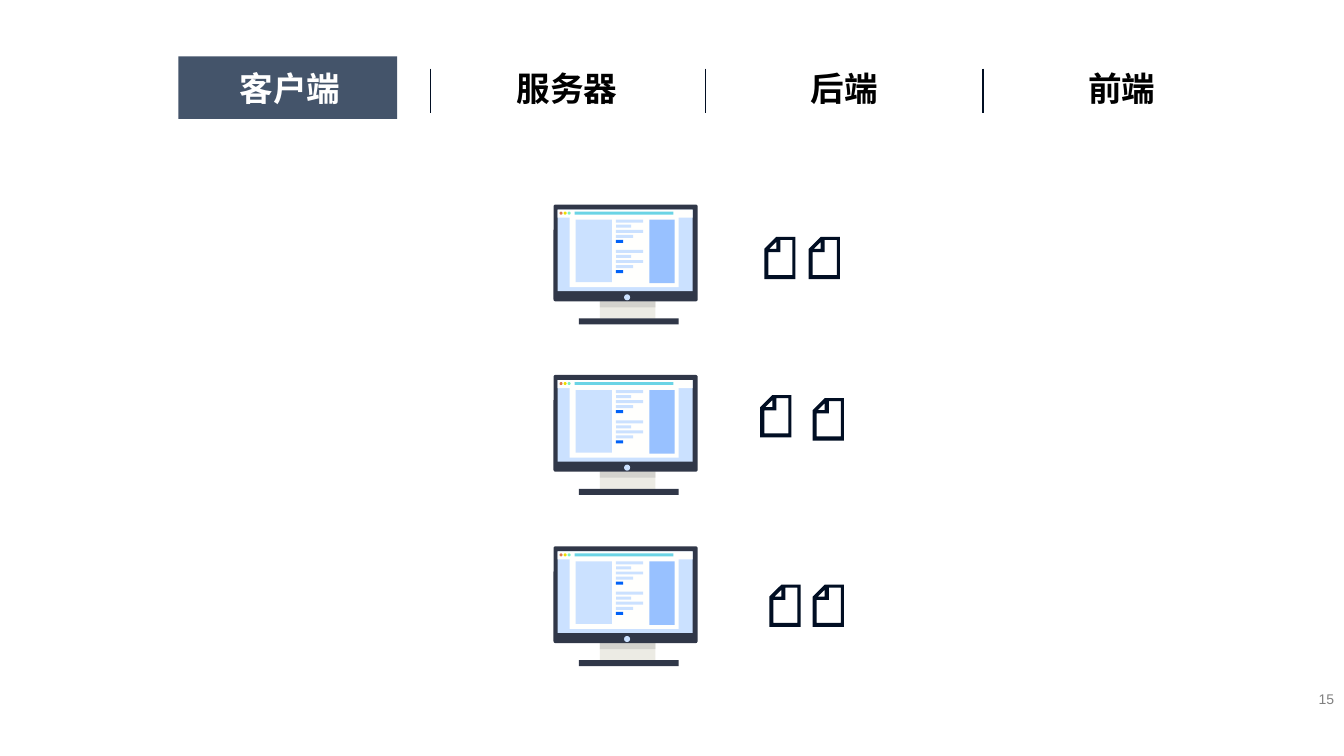
import pptx
import pptx.util
import pptx.dml.color
import pptx.enum.shapes
import pptx.enum.text
import lxml.etree

PX = 9144  # one px is a hundredth of an inch
FONT = "Arial"
INK = "010E23"
CASE = "303748"
PALE = "CBE1FF"
WHITE = "FFFFFD"
RECT = pptx.enum.shapes.MSO_SHAPE.RECTANGLE
ROUNDED = pptx.enum.shapes.MSO_SHAPE.ROUNDED_RECTANGLE
OVAL = pptx.enum.shapes.MSO_SHAPE.OVAL
ALIGN = pptx.enum.text.PP_ALIGN
ANCHOR = pptx.enum.text.MSO_ANCHOR

TABS = ["客户端", "服务器", "后端", "前端"]
TAB_LEFT, TAB_WIDTH = 150, 275
DIVIDERS = [427, 700, 975]
MONITOR_LEFT = 549
MONITOR_TOPS = [203, 372, 542]
DOCUMENTS = [(758, 235), (802, 235), (754, 392), (806, 395), (763, 580), (806, 580)]

# Monitor parts, measured from the top left corner of the case
STAND = [(46, 84, 55, 29, "ECEBE4"), (46, 96, 55, 6, "D3D2CD"), (25, 113, 99, 6, CASE)]
SCREEN = [(4, 5, 134, 81, PALE), (4, 5, 134, 8, WHITE), (16, 12, 108, 70, WHITE),
          (22, 15, 36, 62, PALE), (95, 15, 25, 63, "98C1FF"), (21, 7, 98, 3, "6BD4E5")]
LINE_WIDTHS = [27, 15, 27, 17, 7]
DOTS = [(70, 89, 6, PALE), (6, 7, 3, "DF7A4C"), (10, 7, 3, "EDDE00"), (14, 7, 3, "7BF1BF")]

# Page outline, the triangle of its folded corner, and its inside
PAGE_CONTOURS = [
    [(0, 12), (12, 0), (31, 0), (31, 42), (0, 42)],
    [(5, 12), (12, 12), (12, 5)],
    [(4, 15), (4, 38), (28, 38), (28, 3), (16, 3), (16, 15)],
]


def px(value):
    return pptx.util.Emu(value * PX)


def color(value):
    return pptx.dml.color.RGBColor.from_string(value)


def paint(shape, fill):
    shape.fill.solid()
    shape.fill.fore_color.rgb = color(fill)
    shape.line.fill.background()
    shape.shadow.inherit = False


def add_block(shapes, kind, left, top, width, height, fill):
    shape = shapes.add_shape(kind, px(left), px(top), px(width), px(height))
    paint(shape, fill)
    return shape


def add_text(page, text, left, top, width, height, size, fill, align, anchor, bold=False):
    box = page.shapes.add_textbox(px(left), px(top), px(width), px(height))
    frame = box.text_frame
    frame.word_wrap = True
    frame.vertical_anchor = anchor
    para = frame.paragraphs[0]
    para.alignment = align
    span = para.add_run()
    span.text = text
    span.font.name = FONT
    span.font.size = pptx.util.Pt(size)
    span.font.bold = bold
    span.font.color.rgb = color(fill)


def add_divider(page, left, top, bottom):
    line = page.shapes.add_connector(
        pptx.enum.shapes.MSO_CONNECTOR.STRAIGHT, px(left), px(top), px(left), px(bottom))
    line.line.color.rgb = color(INK)
    line.line.width = pptx.util.Pt(1)
    properties = line._element.spPr
    lxml.etree.SubElement(properties, pptx.oxml.ns.qn("a:effectLst"))


def add_monitor(page, left, top):
    shapes = page.shapes.add_group_shape().shapes
    for x, y, width, height, fill in STAND:
        add_block(shapes, RECT, left + x, top + y, width, height, fill)
    case = add_block(shapes, ROUNDED, left, top, 143, 96, CASE)
    case.adjustments[0] = 0.02
    for x, y, width, height, fill in SCREEN:
        add_block(shapes, RECT, left + x, top + y, width, height, fill)
    # Two blocks of text lines, each closed by a button
    for row, width in enumerate(LINE_WIDTHS * 2):
        button = width == LINE_WIDTHS[-1]
        y = 15 + 5 * row + 5 * (row // len(LINE_WIDTHS))
        add_block(shapes, RECT, left + 62, top + y, width, 3, "0061F7" if button else PALE)
    for x, y, size, fill in DOTS:
        add_block(shapes, OVAL, left + x, top + y, size, size, fill)


def add_document(page, left, top):
    outline, *holes = [[(left + x, top + y) for x, y in contour] for contour in PAGE_CONTOURS]
    builder = page.shapes.build_freeform(*outline[0], scale=PX)
    builder.add_line_segments(outline[1:], close=True)
    for hole in holes:
        builder.move_to(*hole[0])
        builder.add_line_segments(hole[1:], close=True)
    paint(builder.convert_to_shape(), INK)


def main():
    deck = pptx.Presentation()
    deck.slide_width, deck.slide_height = px(1333), px(750)
    page = deck.slides.add_slide(deck.slide_layouts[6])

    # Tabs, the first one highlighted
    add_block(page.shapes, RECT, 177, 56, 217, 62, "44546A")
    for index, label in enumerate(TABS):
        fill = "000000" if index else "FFFFFF"
        add_text(page, label, TAB_LEFT + index * TAB_WIDTH, 62, TAB_WIDTH, 50,
                 24, fill, ALIGN.CENTER, ANCHOR.TOP, bold=True)
    for left in DIVIDERS:
        add_divider(page, left, 68, 112)

    # Client computers and their files
    for top in MONITOR_TOPS:
        add_monitor(page, MONITOR_LEFT, top)
    for left, top in DOCUMENTS:
        add_document(page, left, top)

    # Page number
    add_text(page, "15", 1015, 682, 318, 23, 10, "808080", ALIGN.RIGHT, ANCHOR.MIDDLE)

    deck.save("out.pptx")


if __name__ == "__main__":
    main()
